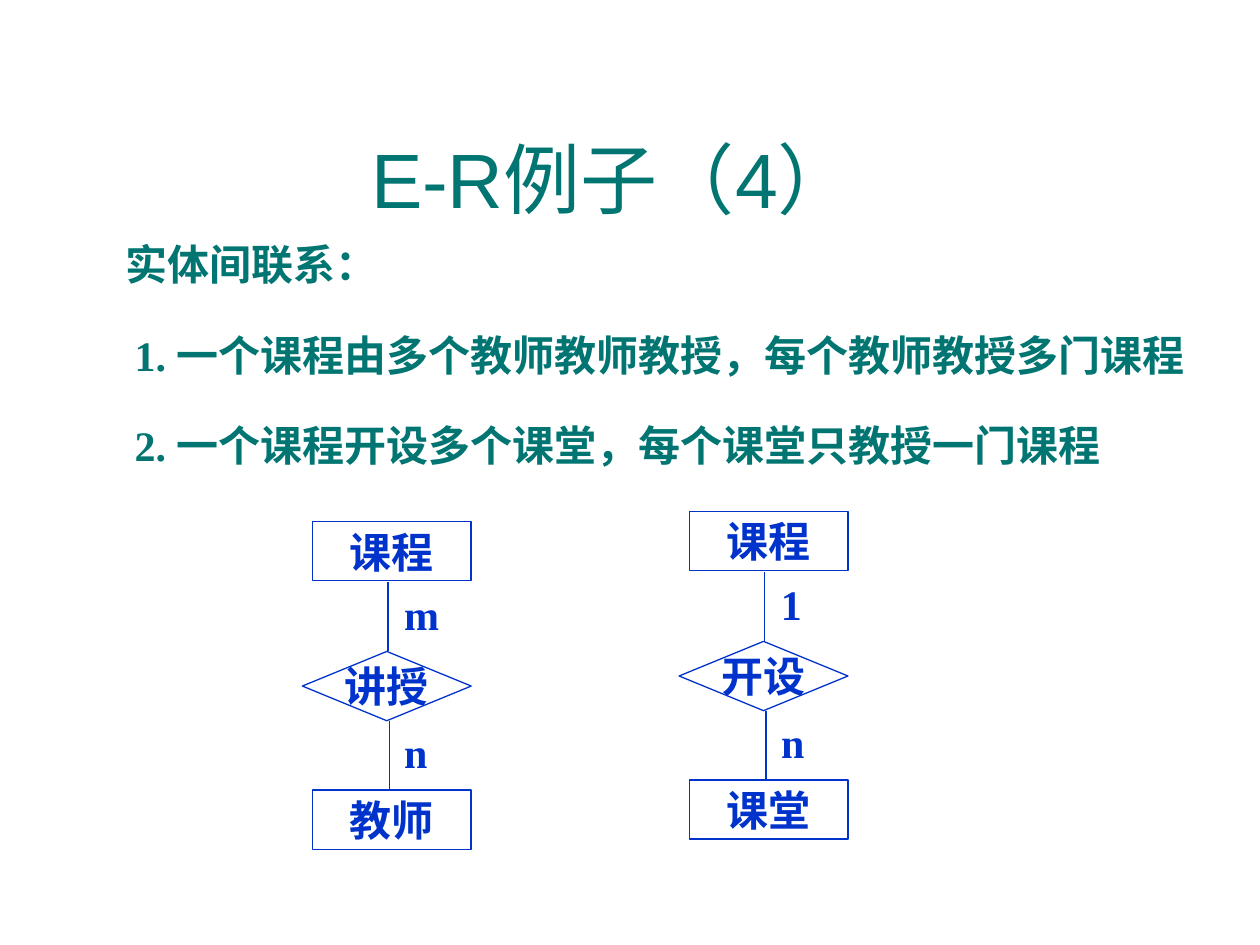
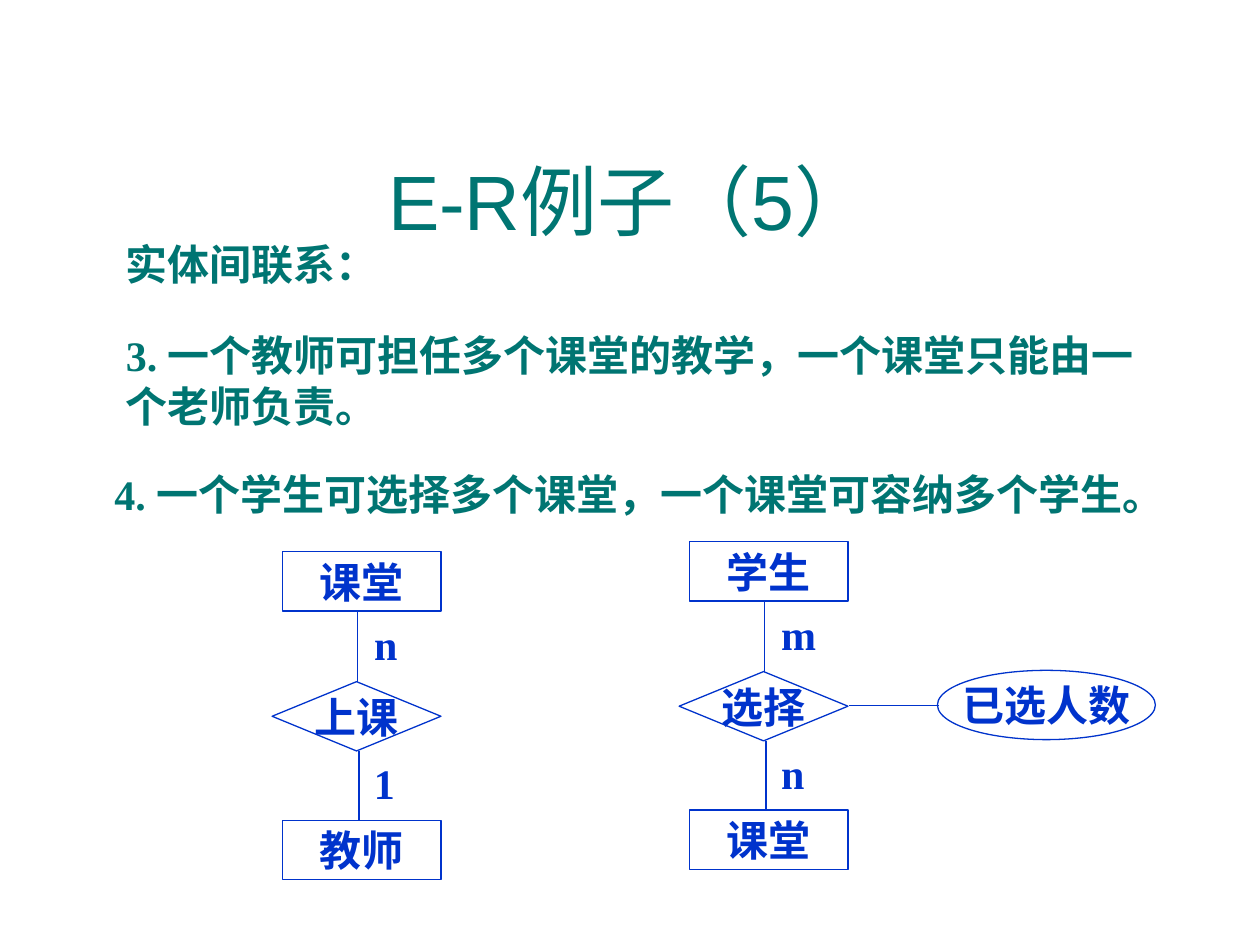
import pptx
import pptx.util
import pptx.dml.color
import pptx.enum.text
import pptx.enum.shapes
import pptx.oxml.ns
import lxml.etree

Inches = pptx.util.Inches
Pt = pptx.util.Pt
Align = pptx.enum.text.PP_ALIGN
Anchor = pptx.enum.text.MSO_ANCHOR
Fit = pptx.enum.text.MSO_AUTO_SIZE
Kind = pptx.enum.shapes.MSO_SHAPE

TEAL = "007572"
BLUE = "0033CC"


def color(code):
    return pptx.dml.color.RGBColor.from_string(code)


def write(shape, text, size=24, font="Times New Roman", bold=True, ink=TEAL,
          align=Align.LEFT, anchor=Anchor.TOP, wrap=False, fit=Fit.NONE):
    frame = shape.text_frame
    frame.word_wrap = wrap
    frame.auto_size = fit
    frame.vertical_anchor = anchor
    par = frame.paragraphs[0]
    par.alignment = align
    run = par.add_run()
    run.text = text
    run.font.size = Pt(size)
    run.font.name = font
    run.font.bold = bold
    run.font.color.rgb = color(ink)


class Deck:
    def __init__(self):
        self.file = pptx.Presentation()
        self.file.slide_width = Inches(10)
        self.file.slide_height = Inches(7.5)

    def page(self, title, box):
        self.slide = self.file.slides.add_slide(self.file.slide_layouts[6])
        self.items = self.slide.shapes
        self.text(title, *box, size=44, font="Arial", bold=False,
                  align=Align.CENTER, anchor=Anchor.BOTTOM, wrap=True)
        self.note("实体间联系：", 0.9, 1.84, 8.43, wrap=True)

    def group(self):
        self.items = self.slide.shapes.add_group_shape().shapes

    def text(self, text, x, y, w, h, **style):
        box = self.items.add_textbox(Inches(x), Inches(y), Inches(w), Inches(h))
        write(box, text, **style)

    def note(self, text, x, y, w, h=0.5, **style):
        self.text(text, x, y, w, h, fit=Fit.SHAPE_TO_FIT_TEXT, **style)

    def node(self, kind, text, x, y, w, h):
        shape = self.items.add_shape(kind, Inches(x), Inches(y), Inches(w), Inches(h))
        shape.shadow.inherit = False
        shape.fill.background()
        shape.line.color.rgb = color(BLUE)
        shape.line.width = Pt(0.75)
        write(shape, text, ink=BLUE, align=Align.CENTER, anchor=Anchor.MIDDLE)

    def link(self, x1, y1, x2, y2):
        line = self.items.add_connector(
            pptx.enum.shapes.MSO_CONNECTOR.STRAIGHT,
            Inches(x1), Inches(y1), Inches(x2), Inches(y2))
        line.line.color.rgb = color(BLUE)
        line.line.width = Pt(0.75)
        lxml.etree.SubElement(line._element.spPr, pptx.oxml.ns.qn("a:effectLst"))

    def chain(self, x, y, top, verb, low, marks):
        """Two entities joined through a relation, with a mark on each link."""
        self.group()
        self.node(Kind.RECTANGLE, top, x, y, 1.26, 0.47)
        self.node(Kind.RECTANGLE, low, x, y + 2.13, 1.26, 0.47)
        self.node(Kind.DIAMOND, verb, x - 0.08, y + 1.03, 1.34, 0.55)
        wide = {"m": 0.48, "n": 0.38, "1": 0.36}
        for mark, dx, dy in zip(marks, (0.6, 0.61), (0.48, 1.58)):
            self.link(x + dx, y + dy, x + dx, y + dy + 0.55)
            self.note(mark, x + 0.63, y + dy, wide[mark], ink=BLUE)


def main():
    deck = Deck()

    # Courses with teachers and classes
    deck.page("E-R例子（4）", (0.67, 1.21, 8.39, 0.62))
    deck.note("1. 一个课程由多个教师教师教授，每个教师教授多门课程", 0.97, 2.57, 8.61)
    deck.note("2. 一个课程开设多个课堂，每个课堂只教授一门课程", 0.97, 3.28, 7.94)
    deck.chain(2.48, 4.14, "课程", "讲授", "教师", "mn")
    deck.chain(5.47, 4.06, "课程", "开设", "课堂", "1n")

    # Classes with teachers and students
    deck.page("E-R例子（5）", (0.33, 0.75, 9.34, 1.25))
    deck.note("3. 一个教师可担任多个课堂的教学，一个课堂只能由一个老师负责。",
              0.9, 2.57, 8.43, 0.9, wrap=True)
    deck.note("4. 一个学生可选择多个课堂，一个课堂可容纳多个学生。", 0.81, 3.67, 8.61)
    deck.chain(2.24, 4.38, "课堂", "上课", "教师", "n1")
    deck.chain(5.47, 4.3, "学生", "选择", "课堂", "mn")

    # Attribute of the choice
    deck.link(6.74, 5.6, 7.45, 5.6)
    deck.node(Kind.OVAL, "已选人数", 7.44, 5.32, 1.73, 0.55)

    deck.file.save("out.pptx")


if __name__ == "__main__":
    main()
